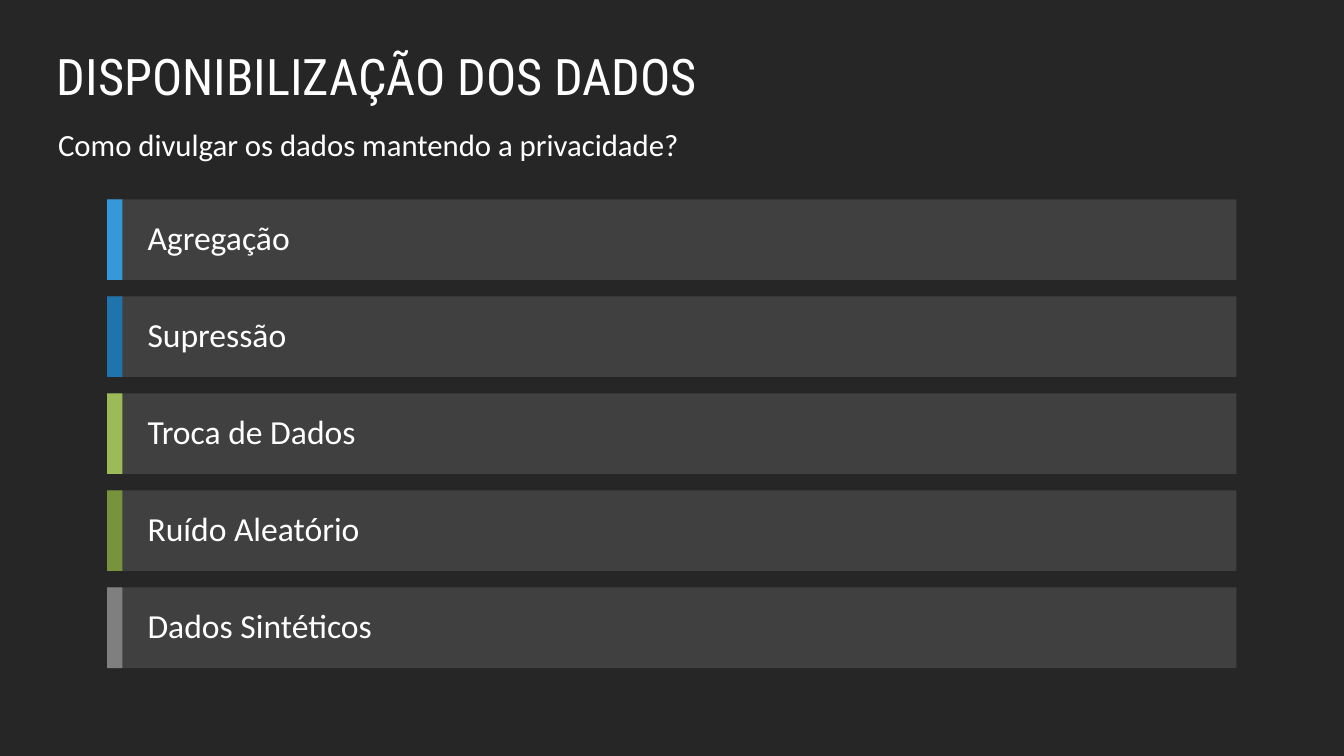
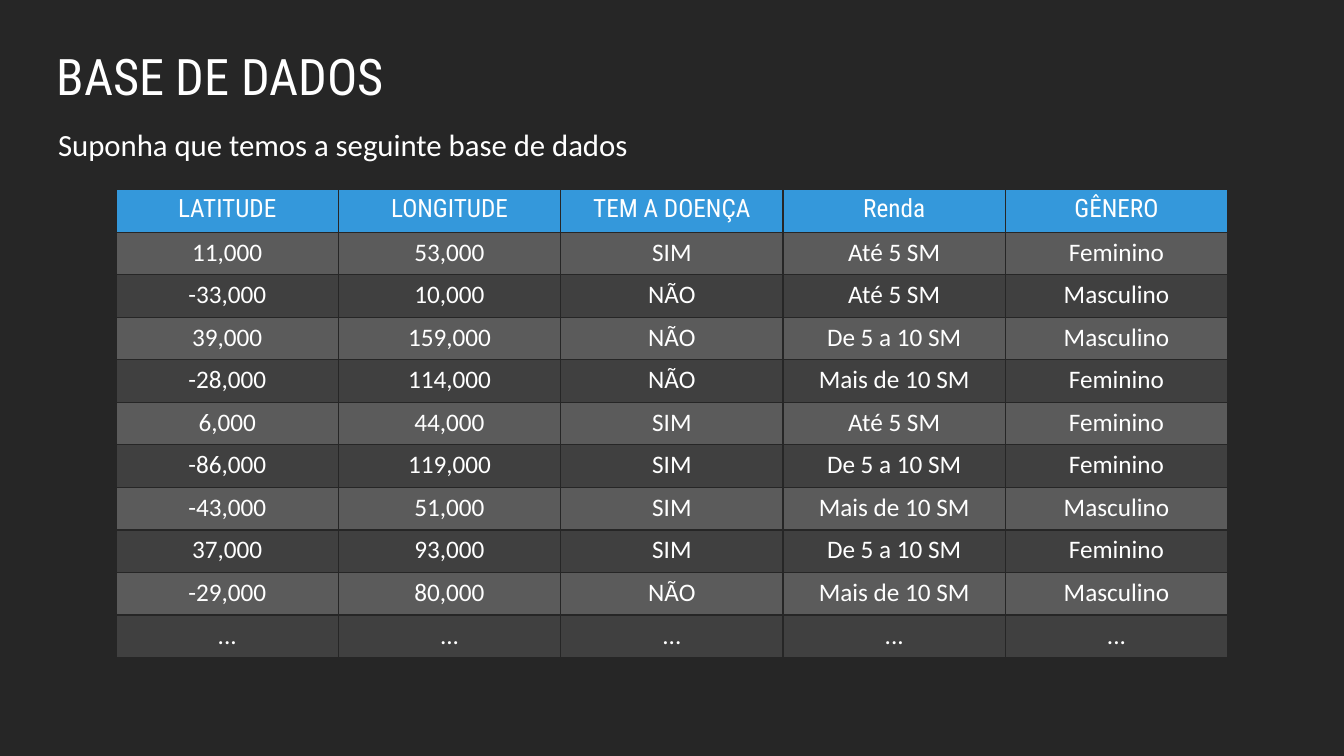
from lxml import etree
from pptx import Presentation
from pptx.dml.color import RGBColor
from pptx.enum.shapes import MSO_SHAPE
from pptx.enum.text import MSO_ANCHOR, MSO_AUTO_SIZE, PP_ALIGN
from pptx.oxml.ns import qn
from pptx.util import Pt

RECTANGLE = MSO_SHAPE.RECTANGLE
TOP, MIDDLE = MSO_ANCHOR.TOP, MSO_ANCHOR.MIDDLE
NO_AUTOFIT = MSO_AUTO_SIZE.NONE
LEFT, CENTER = PP_ALIGN.LEFT, PP_ALIGN.CENTER

# Content
METHODS_TITLE = "DISPONIBILIZAÇÃO DOS DADOS"
METHODS_SUBTITLE = "Como divulgar os dados mantendo a privacidade?"
METHODS = [
    ("Agregação", "3498DB"),
    ("Supressão", "1F74AD"),
    ("Troca de Dados", "9BBB59"),
    ("Ruído Aleatório", "77933C"),
    ("Dados Sintéticos", "7F7F7F"),
]

DATABASE_TITLE = "BASE DE DADOS"
DATABASE_SUBTITLE = "Suponha que temos a seguinte base de dados"
DATABASE = [
    ("LATITUDE", "LONGITUDE", "TEM A DOENÇA", "Renda", "GÊNERO"),
    ("11,000", "53,000", "SIM", "Até 5 SM", "Feminino"),
    ("-33,000", "10,000", "NÃO", "Até 5 SM", "Masculino"),
    ("39,000", "159,000", "NÃO", "De 5 a 10 SM", "Masculino"),
    ("-28,000", "114,000", "NÃO", "Mais de 10 SM", "Feminino"),
    ("6,000", "44,000", "SIM", "Até 5 SM", "Feminino"),
    ("-86,000", "119,000", "SIM", "De 5 a 10 SM", "Feminino"),
    ("-43,000", "51,000", "SIM", "Mais de 10 SM", "Masculino"),
    ("37,000", "93,000", "SIM", "De 5 a 10 SM", "Feminino"),
    ("-29,000", "80,000", "NÃO", "Mais de 10 SM", "Masculino"),
    ("...", "...", "...", "...", "..."),
]

# Shared style
BACKGROUND, PANEL, PANEL_LIGHT = "262626", "404040", "5B5B5B"
HEADER, WHITE = "3498DB", "FFFFFF"
HEADING_FONT, TEXT_FONT = "Roboto Condensed", "Calibri"

# Layout, in points
SLIDE_SIZE = (960, 540)
TITLE_BOX = (40.5, 32.5, 877, 84)
SUBTITLE_BOX = (40.5, 90, 877, 42.5)
BARS_LEFT, BARS_TOP, BAR_WIDTH, BAR_HEIGHT = 76.6, 142.4, 806.6, 57.6
BAR_PITCH, STRIPE_WIDTH, BAR_INSET = 69.3, 10.8, 28.8
TABLE_LEFT, TABLE_TOP, COLUMN_WIDTH, ROW_HEIGHT = 82.9, 135.4, 158.8, 30.4


def paint(fill, color):
    fill.solid()
    fill.fore_color.rgb = RGBColor.from_string(color)


def write(paragraph, text, size, font=TEXT_FONT, align=LEFT):
    paragraph.alignment = align
    run = paragraph.add_run()
    run.text = text
    run.font.size = Pt(size)
    run.font.name = font
    run.font.color.rgb = RGBColor.from_string(WHITE)


def set_margins(holder, left, top, right, bottom):
    """Set the inner margins of a text frame or a table cell."""
    holder.margin_left, holder.margin_top = Pt(left), Pt(top)
    holder.margin_right, holder.margin_bottom = Pt(right), Pt(bottom)


def place_heading(placeholder, box, left_margin):
    """Move a placeholder and return its first paragraph."""
    (placeholder.left, placeholder.top,
     placeholder.width, placeholder.height) = map(Pt, box)
    frame = placeholder.text_frame
    frame.auto_size = NO_AUTOFIT
    frame.vertical_anchor = TOP
    set_margins(frame, left_margin, 0, 0, 0)
    return frame.paragraphs[0]


def add_content_slide(prs, title, subtitle):
    slide = prs.slides.add_slide(prs.slide_layouts[1])
    write(place_heading(slide.shapes.title, TITLE_BOX, 0), title, 36, HEADING_FONT)
    paragraph = place_heading(slide.placeholders[1], SUBTITLE_BOX, 1)
    properties = paragraph._p.get_or_add_pPr()
    properties.set("marL", "0")
    properties.set("indent", "0")
    etree.SubElement(properties, qn("a:buNone"))
    paragraph.space_before, paragraph.space_after = Pt(0), Pt(10)
    write(paragraph, subtitle, 22)
    return slide


def add_rectangle(slide, left, top, width, height, color):
    rectangle = slide.shapes.add_shape(
        RECTANGLE, Pt(left), Pt(top), Pt(width), Pt(height))
    rectangle.shadow.inherit = False
    rectangle.line.fill.background()
    paint(rectangle.fill, color)
    return rectangle


def add_master_backdrop(prs, slide):
    """Draw the dark backdrop and move it to the back of the slide master."""
    backdrop = add_rectangle(slide, 0, 0, *SLIDE_SIZE, BACKGROUND)._element
    backdrop.nvSpPr.cNvPr.set("id", "100")
    master_tree = prs.slide_master.shapes._spTree
    master_tree.insert(2, backdrop)


def add_method_bar(slide, top, method, color):
    bar = add_rectangle(slide, BARS_LEFT, top, BAR_WIDTH, BAR_HEIGHT, PANEL)
    frame = bar.text_frame
    frame.word_wrap = False
    frame.vertical_anchor = MIDDLE
    set_margins(frame, BAR_INSET, 11.5, BAR_INSET, 11.5)
    frame.paragraphs[0].line_spacing = 0.9
    write(frame.paragraphs[0], method, 24)
    add_rectangle(slide, BARS_LEFT, top, STRIPE_WIDTH, BAR_HEIGHT, color)


def add_borders(cell, color):
    properties = cell._tc.get_or_add_tcPr()
    for side in ("a:lnL", "a:lnR", "a:lnT", "a:lnB"):
        border = etree.SubElement(properties, qn(side), w=str(Pt(1)))
        fill = etree.SubElement(border, qn("a:solidFill"))
        etree.SubElement(fill, qn("a:srgbClr"), val=color)


def add_database_table(slide, records):
    row_count, column_count = len(records), len(records[0])
    table = slide.shapes.add_table(
        row_count, column_count, Pt(TABLE_LEFT), Pt(TABLE_TOP),
        Pt(COLUMN_WIDTH * column_count), Pt(ROW_HEIGHT * row_count)).table
    for column in table.columns:
        column.width = Pt(COLUMN_WIDTH)
    for r, record in enumerate(records):
        table.rows[r].height = Pt(ROW_HEIGHT)
        if r == 0:
            color, font = HEADER, HEADING_FONT
        else:
            color, font = (PANEL_LIGHT if r % 2 else PANEL), TEXT_FONT
        for c, text in enumerate(record):
            cell = table.cell(r, c)
            set_margins(cell, 11.5, 3.6, 11.5, 3.6)
            add_borders(cell, BACKGROUND)
            paint(cell.fill, color)
            write(cell.text_frame.paragraphs[0], text, 18, font, CENTER)


def main():
    prs = Presentation()
    prs.slide_width, prs.slide_height = map(Pt, SLIDE_SIZE)

    methods_slide = add_content_slide(prs, METHODS_TITLE, METHODS_SUBTITLE)
    add_master_backdrop(prs, methods_slide)
    for i, (method, color) in enumerate(METHODS):
        add_method_bar(methods_slide, BARS_TOP + i * BAR_PITCH, method, color)

    database_slide = add_content_slide(prs, DATABASE_TITLE, DATABASE_SUBTITLE)
    paint(database_slide.shapes.title.fill, BACKGROUND)
    add_database_table(database_slide, DATABASE)

    prs.save("out.pptx")


if __name__ == "__main__":
    main()
